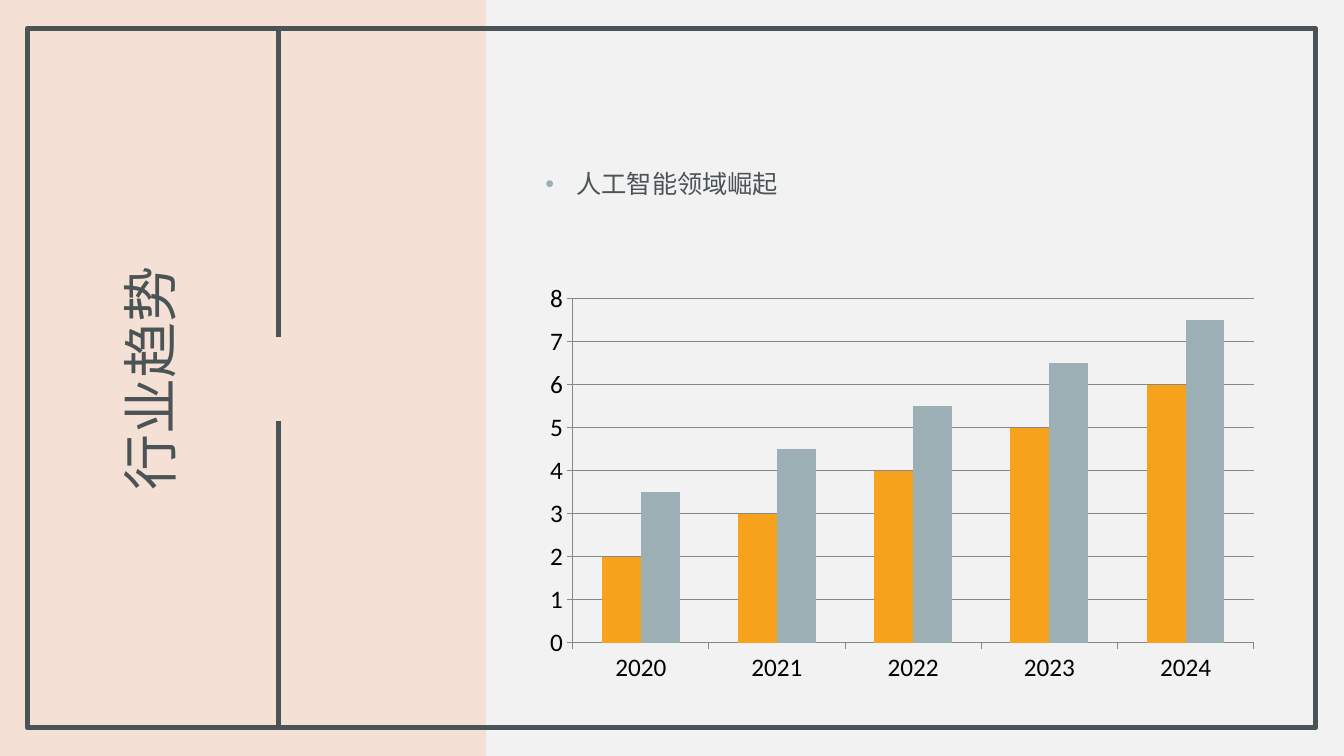
from dataclasses import dataclass

from lxml import etree
from pptx import Presentation
from pptx.chart.data import CategoryChartData
from pptx.dml.color import RGBColor
from pptx.enum.chart import XL_CHART_TYPE, XL_TICK_MARK
from pptx.enum.shapes import MSO_CONNECTOR, MSO_SHAPE
from pptx.enum.text import MSO_ANCHOR, PP_ALIGN
from pptx.oxml.ns import qn
from pptx.util import Inches, Pt

COLUMN = XL_CHART_TYPE.COLUMN_CLUSTERED
OUT = XL_TICK_MARK.OUTSIDE
RECT = MSO_SHAPE.RECTANGLE
LINE = MSO_CONNECTOR.STRAIGHT
MIDDLE = MSO_ANCHOR.MIDDLE
CENTER, LEFT = PP_ALIGN.CENTER, PP_ALIGN.LEFT


@dataclass(frozen=True)
class Theme:
    paper: str = "F2F2F2"
    panel: str = "F5E0D5"
    ink: str = "4A5356"
    black: str = "000000"
    grid: str = "878787"
    gold: str = "F6A21D"
    mist: str = "9BAFB5"
    font: str = "Calibri"
    title: int = 40
    body: int = 18
    rule: float = 3.5
    thin: float = 0.75


THEME = Theme()
YEARS = ["2020", "2021", "2022", "2023", "2024"]
SERIES = [
    ("Series 1", [2, 3, 4, 5, 6], THEME.gold),
    ("Series 2", [3.5, 4.5, 5.5, 6.5, 7.5], THEME.mist),
]


def rgb(code):
    return RGBColor.from_string(code)


def apply(item, **values):
    for name, value in values.items():
        setattr(item, name, value)


def paint(fill, color):
    fill.solid()
    fill.fore_color.rgb = rgb(color)


def stroke(line, color, width):
    line.color.rgb = rgb(color)
    line.width = Pt(width)


def style(font, size, color):
    apply(font, size=Pt(size), name=THEME.font)
    font.color.rgb = rgb(color)


def add_rect(slide, box):
    shape = slide.shapes.add_shape(RECT, *map(Inches, box))
    shape.shadow.inherit = False
    return shape


def add_panel(slide, box):
    panel = add_rect(slide, box)
    paint(panel.fill, THEME.panel)
    panel.line.fill.background()


def add_frame(slide, box, split=2.49, reach=3.06, gap=0.84):
    """Draw the border and its divider, which is open in the middle."""
    frame = add_rect(slide, box)
    frame.fill.background()
    stroke(frame.line, THEME.ink, THEME.rule)
    left, top = box[:2]
    x = Inches(left + split)
    for start in (top, top + reach + gap):
        rule = slide.shapes.add_connector(
            LINE, x, Inches(start), x, Inches(start + reach))
        stroke(rule.line, THEME.ink, THEME.rule)
        etree.SubElement(rule._element.spPr, qn("a:effectLst"))


def add_text(slide, box, text, size, align, **margins):
    shape = slide.shapes.add_textbox(*map(Inches, box))
    frame = shape.text_frame
    apply(frame, word_wrap=True, vertical_anchor=MIDDLE, **margins)
    para = frame.paragraphs[0]
    para.alignment = align
    run = para.add_run()
    run.text = text
    style(run.font, size, THEME.ink)
    return shape, para


def add_title(slide, box, text):
    side = Inches(0.2)
    shape, para = add_text(
        slide, box, text, THEME.title, CENTER,
        margin_left=side, margin_right=side, margin_top=0, margin_bottom=0)
    shape.rotation = 270
    para.line_spacing = 0.9


def add_bullet(slide, box, text):
    """Place one bullet point in the lower part of the box."""
    para = add_text(slide, box, text, THEME.body, LEFT,
                    margin_top=Inches(0.6))[1]
    props = para._p.get_or_add_pPr()
    indent = Inches(0.31)
    props.set("marL", str(indent))
    props.set("indent", str(-indent))
    color = etree.SubElement(props, qn("a:buClr"))
    etree.SubElement(color, qn("a:srgbClr"), val=THEME.mist)
    etree.SubElement(props, qn("a:buFont"), typeface="Arial")
    etree.SubElement(props, qn("a:buChar"), char="•")


def add_bars(slide, box):
    data = CategoryChartData()
    data.categories = YEARS
    for name, values, _ in SERIES:
        data.add_series(name, values)
    chart = slide.shapes.add_chart(COLUMN, *map(Inches, box), data).chart
    apply(chart, has_legend=False, has_title=False)
    style(chart.font, THEME.body, THEME.black)
    plot = chart.plots[0]
    apply(plot, gap_width=150, overlap=0, vary_by_categories=False)
    for bars, (_, _, color) in zip(plot.series, SERIES):
        paint(bars.format.fill, color)
    scale = chart.value_axis
    apply(scale, minimum_scale=0, maximum_scale=8, major_unit=1,
          has_major_gridlines=True)
    for axis in (chart.category_axis, scale):
        axis.major_tick_mark = OUT
        stroke(axis.format.line, THEME.grid, THEME.thin)
    stroke(scale.major_gridlines.format.line, THEME.grid, THEME.thin)


def main():
    deck = Presentation()
    apply(deck, slide_width=Inches(13.33), slide_height=Inches(7.5))
    slide = deck.slides.add_slide(deck.slide_layouts[6])
    paint(slide.background.fill, THEME.paper)
    add_panel(slide, (0, 0, 4.82, 7.5))
    add_frame(slide, (0.27, 0.28, 12.78, 6.94))
    add_title(slide, (-1.91, 2.51, 6.86, 2.49), "行业趋势")
    add_bullet(slide, (5.31, 0.64, 7.27, 1.81), "人工智能领域崛起")
    add_bars(slide, (5.31, 2.73, 7.27, 4.13))
    deck.save("out.pptx")


if __name__ == "__main__":
    main()
